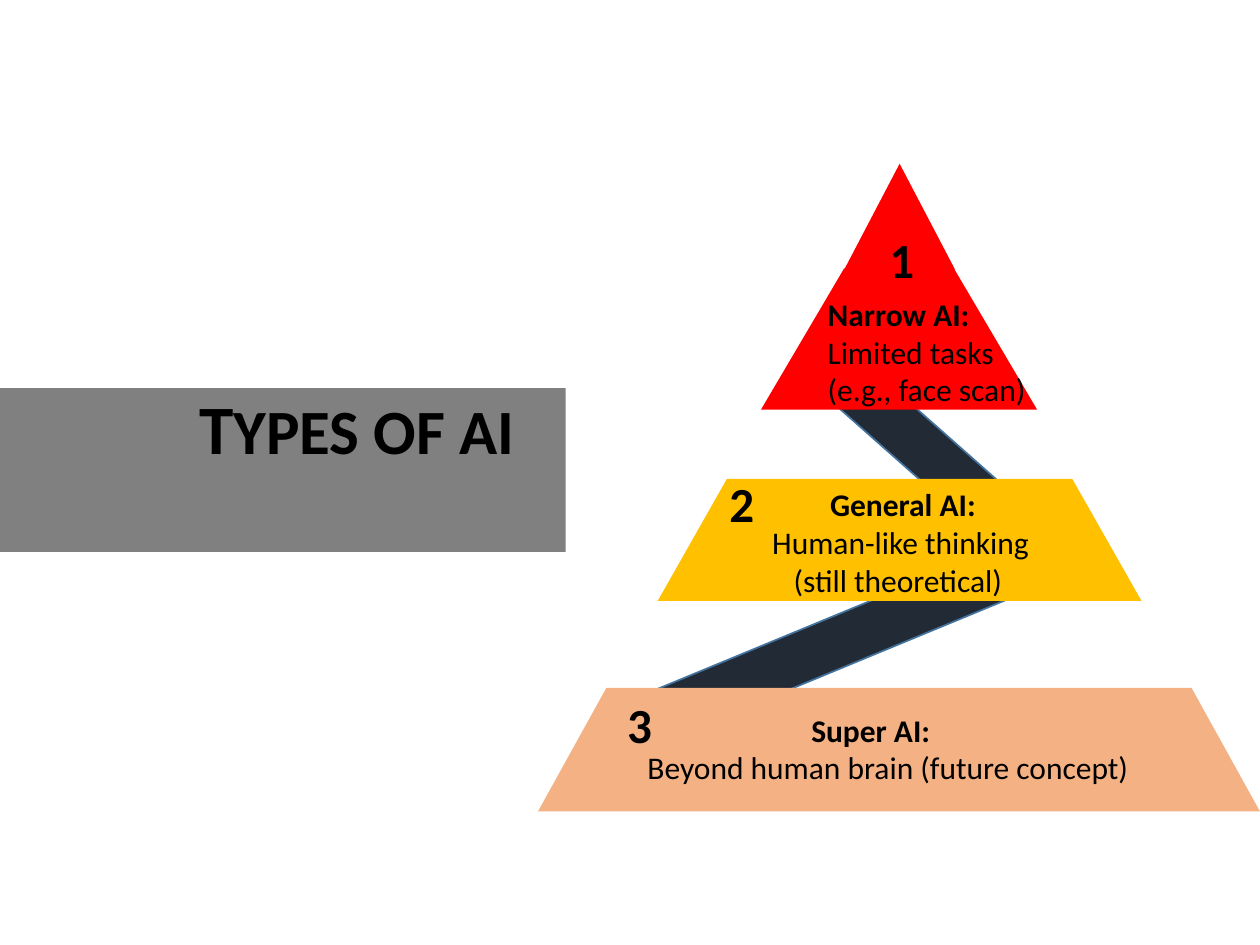
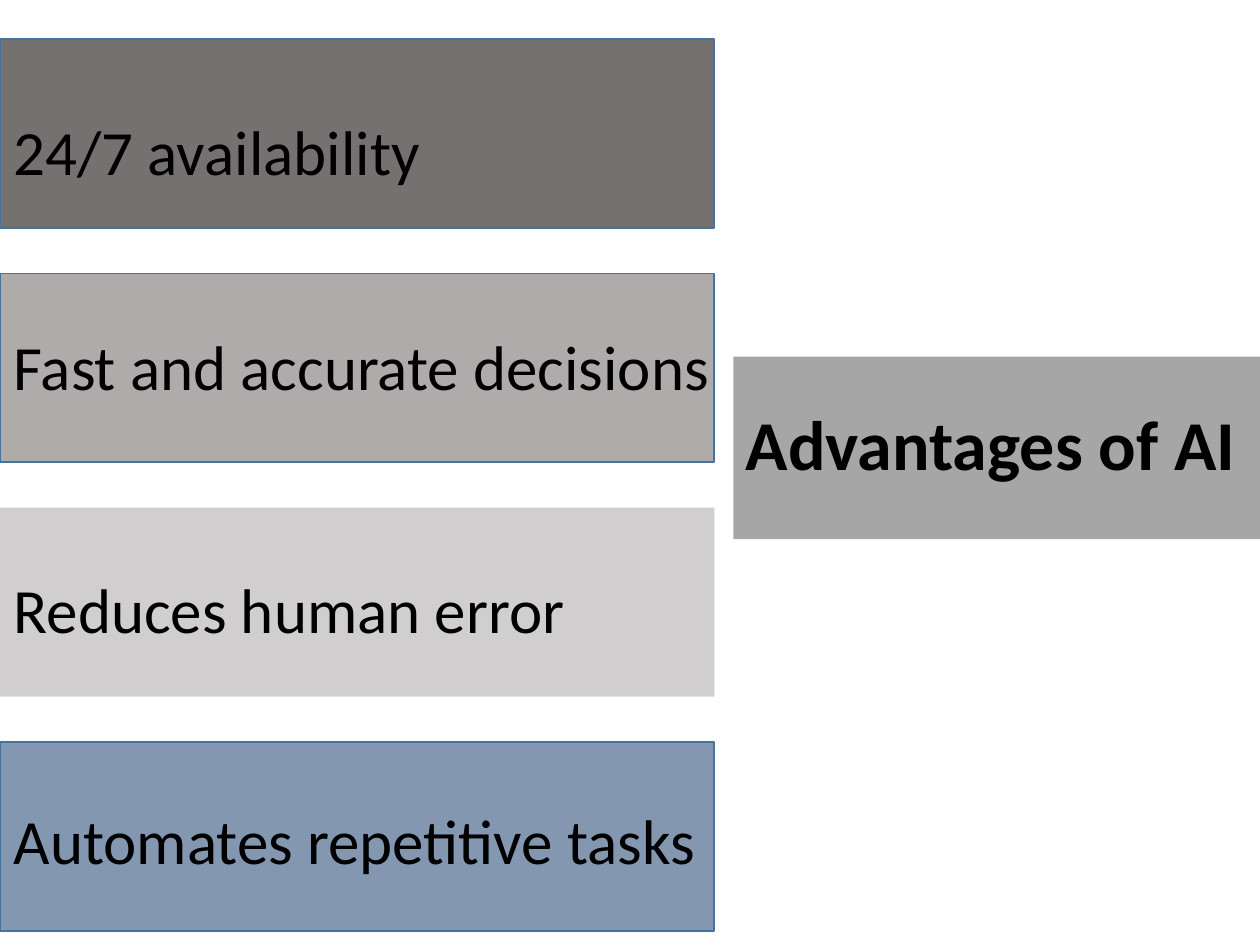
from pptx import Presentation
from pptx.dml.color import RGBColor
from pptx.enum.shapes import MSO_SHAPE
from pptx.enum.text import MSO_ANCHOR, MSO_AUTO_SIZE, PP_ALIGN
from pptx.util import Inches, Pt

RECTANGLE = MSO_SHAPE.RECTANGLE
TRIANGLE = MSO_SHAPE.ISOSCELES_TRIANGLE
TRAPEZOID = MSO_SHAPE.TRAPEZOID
PARALLELOGRAM = MSO_SHAPE.PARALLELOGRAM
TOP, MIDDLE = MSO_ANCHOR.TOP, MSO_ANCHOR.MIDDLE
NO_AUTO_SIZE = MSO_AUTO_SIZE.NONE
LEFT = PP_ALIGN.LEFT
TITLE_ONLY = 5

FONT = "Calibri"
COLORS = {
    "text": "000000",
    "outline": "43739E",
    "types_band": "808080",
    "advantages_band": "A6A6A6",
    "link": "222A35",
    "narrow": "FF0000",
    "general": "FFC000",
    "super": "F4B183",
    "availability": "767171",
    "decisions": "AFABAB",
    "error": "D0CECE",
    "tasks": "8497B0",
}


def color(name):
    return RGBColor.from_string(COLORS[name])


def place(shape, bounds):
    for side, value in zip(("left", "top", "width", "height"), bounds):
        setattr(shape, side, Inches(value))


def paint(shape, fill):
    shape.fill.solid()
    shape.fill.fore_color.rgb = color(fill)


def add_span(para, text, size, bold=False):
    span = para.add_run()
    span.text = text
    for name, value in {"name": FONT, "size": Pt(size), "bold": bold}.items():
        setattr(span.font, name, value)
    span.font.color.rgb = color("text")


def add_title(page, bounds, fill, spans, anchor=MIDDLE, inset=0.1):
    """Bold title on a solid band; spans are (text, size) pairs."""
    title = page.shapes.title
    place(title, bounds)
    paint(title, fill)
    frame_format = {
        "auto_size": NO_AUTO_SIZE,
        "word_wrap": True,
        "vertical_anchor": anchor,
        "margin_left": Inches(inset),
    }
    for name, value in frame_format.items():
        setattr(title.text_frame, name, value)
    para = title.text_frame.paragraphs[0]
    para.alignment = LEFT
    para.line_spacing = 0.9
    for text, size in spans:
        add_span(para, text, size, bold=True)


def add_block(page, kind, bounds, fill, outlined=False, slant=None, rotation=0):
    block = page.shapes.add_shape(kind, *map(Inches, bounds))
    block.shadow.inherit = False
    block.rotation = rotation
    paint(block, fill)
    if slant is not None:
        block.adjustments[0] = slant
    if outlined:
        block.line.color.rgb = color("outline")
        block.line.width = Pt(1)
    else:
        block.line.fill.background()


def add_text(page, bounds, lines, size):
    """Lines are (text, bold, indent in inches) triples."""
    box = page.shapes.add_textbox(*map(Inches, bounds))
    frame = box.text_frame
    frame.word_wrap = True
    for index, (text, bold, indent) in enumerate(lines):
        para = frame.add_paragraph() if index else frame.paragraphs[0]
        if indent:
            properties = para._p.get_or_add_pPr()
            properties.set("marL", str(Inches(indent)))
            properties.set("indent", "0")
        add_span(para, text, size, bold)


def build_types(page):
    add_title(page, (0, 3.08, 4.49, 1.3), "types_band",
              [("T", 39.6), ("YPES OF AI", 36)], anchor=TOP, inset=1.58)

    # Dark links behind the pyramid levels
    for bounds, rotation in (((6.5, 3.38, 0.54, 3.33), 65.2),
                             ((6.87, 2.41, 0.54, 1.97), 307.6)):
        add_block(page, PARALLELOGRAM, bounds, "link", outlined=True, rotation=rotation)

    # Pyramid levels, with a triangle as the tip
    levels = (
        ((4.27, 5.46, 5.73, 0.98), "super", 0.554),
        ((5.22, 3.8, 3.84, 0.97), "general", 0.567),
        ((6.04, 2.13, 2.19, 1.12), "narrow", 0.589),
    )
    for bounds, fill, slant in levels:
        add_block(page, TRAPEZOID, bounds, fill, slant=slant)
    add_block(page, TRIANGLE, (6.7, 1.3, 0.88, 0.84), "narrow")

    # Descriptions
    add_text(page, (6.36, 2.29, 1.88, 1.31), [
        ("Narrow AI:", True, 0.11),
        ("Limited tasks", False, 0.11),
        ("(e.g., face scan)", False, 0.11)], 18)
    add_text(page, (5.69, 3.8, 3.84, 1.65), [
        ("General AI:", True, 0.8),
        ("Human-like thinking", False, 0.34),
        ("(still theoretical)", False, 0.51)], 18)
    add_text(page, (5.04, 5.59, 4.51, 1.31), [
        ("Super AI:", True, 1.3),
        ("Beyond human brain (future concept)", False, 0)], 18)

    # Level numbers
    for number, (left, top) in enumerate(((6.96, 1.77), (5.69, 3.71), (4.88, 5.46)), 1):
        add_text(page, (left, top, 0.63, 0.57), [(str(number), True, 0)], 28)


def build_advantages(page):
    add_title(page, (5.82, 2.83, 4.18, 1.45), "advantages_band",
              [("Advantages of AI", 40)])

    # Evenly spaced bars, each with its own text height
    first_top, pitch = 0.31, 1.86
    bars = (
        ("24/7 availability", "availability", True, 0.84),
        ("Fast and accurate decisions", "decisions", True, 2.55),
        ("Reduces human error", "error", False, 4.48),
        ("Automates repetitive tasks", "tasks", True, 6.31),
    )
    for index, (text, fill, outlined, text_top) in enumerate(bars):
        bar_top = first_top + index * pitch
        add_block(page, RECTANGLE, (0, bar_top, 5.67, 1.5), fill, outlined)
        add_text(page, (0.01, text_top, 5.98, 0.71), [(text, False, 0)], 36)


def main():
    deck = Presentation()
    deck.slide_width, deck.slide_height = Inches(10), Inches(7.5)
    for build in (build_types, build_advantages):
        build(deck.slides.add_slide(deck.slide_layouts[TITLE_ONLY]))
    deck.save("out.pptx")


if __name__ == "__main__":
    main()
